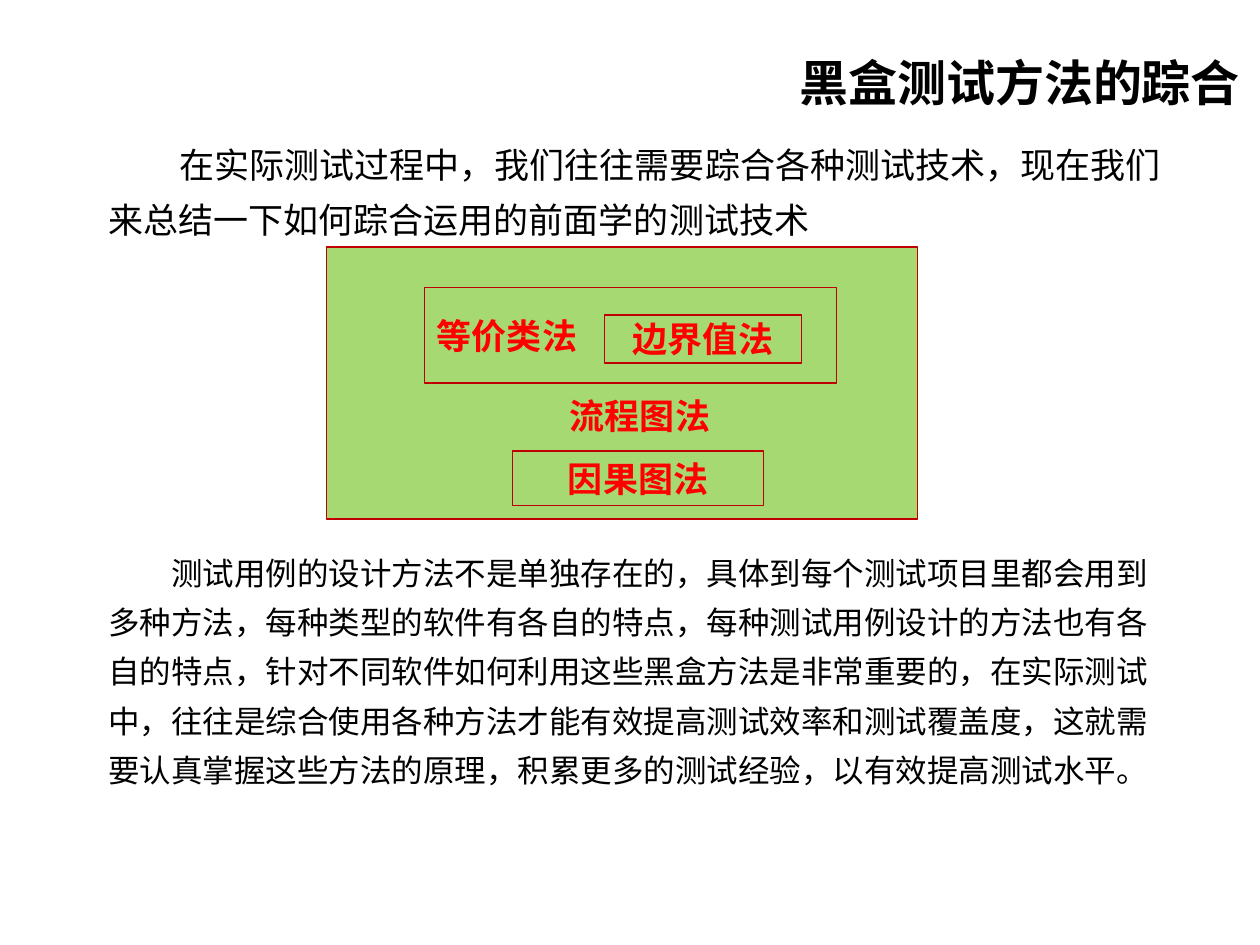
from lxml import etree
from pptx import Presentation
from pptx.dml.color import RGBColor
from pptx.enum import shapes, text
from pptx.oxml import ns
from pptx.util import Pt

# Content
TITLE = "黑盒测试方法的踪合"
INTRO = "在实际测试过程中，我们往往需要踪合各种测试技术，现在我们来总结一下如何踪合运用的前面学的测试技术"
SUMMARY = (
    "测试用例的设计方法不是单独存在的，具体到每个测试项目里都会用到多种方法，"
    "每种类型的软件有各自的特点，每种测试用例设计的方法也有各自的特点，"
    "针对不同软件如何利用这些黑盒方法是非常重要的，在实际测试中，"
    "往往是综合使用各种方法才能有效提高测试效率和测试覆盖度，"
    "这就需要认真掌握这些方法的原理，积累更多的测试经验，以有效提高测试水平。"
)
# Method, (left, top, width, height), alignment, framed
METHODS = [
    ("等价类法", (242.6, 164.2, 235.4, 54.7), "LEFT", True),
    ("边界值法", (345.6, 180, 112.3, 27.4), "CENTER", True),
    ("因果图法", (293, 257.8, 143.3, 31), "CENTER", True),
    ("流程图法", (309.6, 221.8, 112.3, 31.7), "CENTER", False),
]
DIAGRAM = (186.5, 141.1, 337.7, 155.5)
CJK = "Noto Sans CJK SC"


def color(hex_value):
    return RGBColor.from_string(hex_value)


def box(left, top, width, height):
    return Pt(left), Pt(top), Pt(width), Pt(height)


def write(shape, words, size, font="Arial", ink="000000", bold=False,
          align="LEFT", anchor="TOP", spacing=1.0, indent=0):
    frame = shape.text_frame
    frame.word_wrap = True
    frame.auto_size = text.MSO_AUTO_SIZE.NONE
    frame.vertical_anchor = getattr(text.MSO_ANCHOR, anchor)
    paragraph = frame.paragraphs[0]
    paragraph.alignment = getattr(text.PP_ALIGN, align)
    paragraph.line_spacing = spacing
    paragraph.space_before = Pt(0)
    if indent:
        paragraph._p.get_or_add_pPr().set("indent", str(Pt(indent)))
    run = paragraph.add_run()
    run.text = words
    run.font.name, run.font.size, run.font.bold = font, Pt(size), bold
    run.font.color.rgb = color(ink)
    if font == CJK:
        run.font._element.find(ns.qn("a:latin")).addnext(
            etree.Element(ns.qn("a:ea"), typeface=font))


def add_frame(slide, place, fill=None, opacity=100):
    frame = slide.shapes.add_shape(shapes.MSO_SHAPE.RECTANGLE, *box(*place))
    frame.shadow.inherit = False
    frame.line.color.rgb = color("C00000")
    frame.line.width = Pt(0.75)
    if fill:
        frame.fill.solid()
        frame.fill.fore_color.rgb = color(fill)
        srgb = frame._element.spPr.find(".//" + ns.qn("a:srgbClr"))
        etree.SubElement(srgb, ns.qn("a:alpha"), val=str(opacity * 1000))
    else:
        frame.fill.background()
    return frame


def main():
    deck = Presentation()
    deck.slide_width, deck.slide_height = Pt(720), Pt(540)
    slide = deck.slides.add_slide(deck.slide_layouts[5])

    # Title
    title = slide.shapes.title
    title.left, title.top, title.width, title.height = box(67.7, -6.5, 648, 90)
    write(title, TITLE, 28, font=CJK, bold=True, align="RIGHT",
          anchor="MIDDLE", spacing=1.5)

    # Introduction
    intro = slide.shapes.add_textbox(*box(54.7, 71.3, 620.6, 68))
    write(intro, INTRO, 20, font="Calibri", spacing=1.3, indent=40.6)

    # Nested diagram of methods
    add_frame(slide, DIAGRAM, fill="92D050", opacity=80)
    for name, place, align, framed in METHODS:
        if framed:
            method = add_frame(slide, place)
        else:
            method = slide.shapes.add_textbox(*box(*place))
        write(method, name, 20, ink="FF0000", bold=True, align=align,
              anchor="MIDDLE")

    # Summary
    summary = slide.shapes.add_textbox(*box(54.7, 306.7, 622, 150))
    write(summary, SUMMARY, 18, font=CJK, spacing=1.3, indent=36)

    deck.save("out.pptx")


if __name__ == "__main__":
    main()
